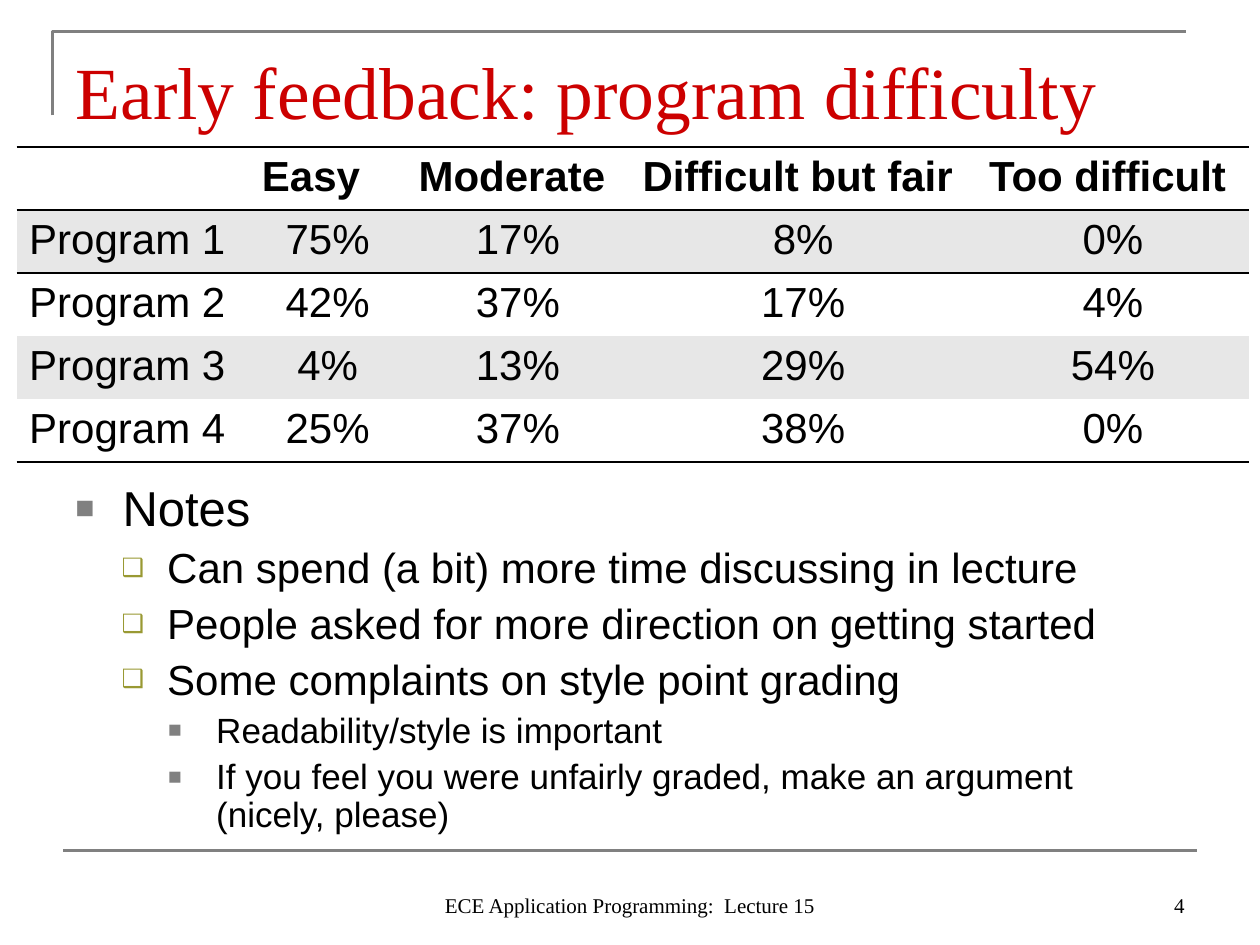
"""Build the slide on early feedback about program difficulty."""
from dataclasses import dataclass

import lxml.etree
import pptx
import pptx.dml.color
import pptx.enum.shapes
import pptx.enum.text
import pptx.oxml
import pptx.oxml.ns
import pptx.util

Pt = pptx.util.Pt
ALIGN = pptx.enum.text.PP_ALIGN
ANCHOR = pptx.enum.text.MSO_ANCHOR
qn = pptx.oxml.ns.qn

BLACK, GREY, OLIVE, RED = "000000", "808080", "999933", "CC0000"
BAND, WHITE = "E7E7E7", "FFFFFF"
SANS, SERIF = "Arial", "Times New Roman"
NO_STYLE = "{2D5ABB26-0587-4C30-8999-92F81FD0307C}"


@dataclass(frozen=True)
class Level:
    size: float
    margin: float
    hanging: float
    before: float
    bullet: str
    bullet_color: str
    bullet_percent: int


@dataclass(frozen=True)
class Note:
    level: int
    text: str


@dataclass(frozen=True)
class FooterItem:
    text: str
    left: float
    width: float
    align: ALIGN


LEVELS = (
    Level(28, 27, 27, 7, "■", GREY, 65),
    Level(24, 52.5, 26, 6, "❑", OLIVE, 60),
    Level(20, 80.5, 27.5, 5, "■", GREY, 65),
)
NOTES = (
    Note(0, "Notes"),
    Note(1, "Can spend (a bit) more time discussing in lecture"),
    Note(1, "People asked for more direction on getting started"),
    Note(1, "Some complaints on style point grading"),
    Note(2, "Readability/style is important"),
    Note(2, "If you feel you were unfairly graded, make an argument (nicely, please)"),
)
FOOTER = (
    FooterItem("ECE Application Programming:  Lecture 15", 246, 228, ALIGN.CENTER),
    FooterItem("4", 516, 168, ALIGN.RIGHT),
)
RATINGS = (
    ("", "Easy", "Moderate", "Difficult but fair", "Too difficult"),
    ("Program 1", "75%", "17%", "8%", "0%"),
    ("Program 2", "42%", "37%", "17%", "4%"),
    ("Program 3", "4%", "13%", "29%", "54%"),
    ("Program 4", "25%", "37%", "38%", "0%"),
)
COLUMN_WIDTHS = (133, 89.5, 128, 198, 156)
ROW_HEIGHT = 36


def rgb(color: str) -> pptx.dml.color.RGBColor:
    """Turn a hex string into a colour."""
    return pptx.dml.color.RGBColor.from_string(color)


def apply(target, formats: dict) -> None:
    """Set every attribute in the dict on the target."""
    for attribute, value in formats.items():
        setattr(target, attribute, value)


def write(paragraph, text: str, face: str, size: float, color: str, bold=False) -> None:
    """Put formatted text into a paragraph."""
    paragraph.text = text
    apply(paragraph.font, {"name": face, "size": Pt(size), "bold": bold})
    paragraph.font.color.rgb = rgb(color)


def style_rule(line) -> None:
    """Give a decorative rule its colour and width."""
    line.color.rgb = rgb(GREY)
    line.width = Pt(1.5)


def add_rules(slide) -> None:
    """Draw the corner bracket above the title and the rule above the footer."""
    builder = slide.shapes.build_freeform(30, 66, scale=Pt(1))
    builder.add_line_segments([(30, 18), (678, 18)], close=False)
    bracket = builder.convert_to_shape()
    bracket.shadow.inherit = False
    bracket.fill.background()
    style_rule(bracket.line)

    footer_rule = slide.shapes.add_connector(
        pptx.enum.shapes.MSO_CONNECTOR.STRAIGHT, Pt(36), Pt(486), Pt(684), Pt(486))
    style_rule(footer_rule.line)
    lxml.etree.SubElement(footer_rule._element.spPr, qn("a:effectLst"))


def add_title(slide, text: str) -> None:
    """Place and format the title placeholder."""
    title = slide.shapes.title
    apply(title, {"left": Pt(36), "top": Pt(21.6), "width": Pt(648), "height": Pt(56)})
    apply(title.text_frame, {
        "vertical_anchor": ANCHOR.BOTTOM, "word_wrap": True, "margin_bottom": Pt(1),
        "auto_size": pptx.enum.text.MSO_AUTO_SIZE.NONE})
    heading = title.text_frame.paragraphs[0]
    write(heading, text, SERIF, 42, RED)
    heading.alignment = ALIGN.LEFT


def add_border(cell, side: str) -> None:
    """Draw a thin black line on one side of a cell."""
    cell._tc.get_or_add_tcPr().append(pptx.oxml.parse_xml(
        f'<a:{side} xmlns:a="http://schemas.openxmlformats.org/drawingml/2006/main" '
        f'w="{Pt(0.96)}"><a:solidFill><a:srgbClr val="{BLACK}"/></a:solidFill></a:{side}>'))


def add_ratings(slide) -> None:
    """Draw the table of difficulty ratings."""
    frame = slide.shapes.add_table(
        len(RATINGS), len(COLUMN_WIDTHS), Pt(9.5), Pt(84),
        Pt(sum(COLUMN_WIDTHS)), Pt(ROW_HEIGHT * len(RATINGS)))
    ratings = frame.table
    ratings._tbl.tblPr.find(qn("a:tableStyleId")).text = NO_STYLE
    apply(ratings, {"first_row": False, "horz_banding": False})
    for column, width in zip(ratings.columns, COLUMN_WIDTHS):
        column.width = Pt(width)
    for r, values in enumerate(RATINGS):
        ratings.rows[r].height = Pt(ROW_HEIGHT)
        for c, value in enumerate(values):
            cell = ratings.cell(r, c)
            if r <= 1:
                add_border(cell, "lnT")
            if r in (0, len(RATINGS) - 1):
                add_border(cell, "lnB")
            cell.fill.solid()
            cell.fill.fore_color.rgb = rgb(BAND if r % 2 else WHITE)
            entry = cell.text_frame.paragraphs[0]
            write(entry, value, SANS, 24, BLACK, bold=r == 0)
            entry.alignment = ALIGN.CENTER if r and c else ALIGN.LEFT


def add_bullet(paragraph, level: Level) -> None:
    """Give a paragraph its hanging bullet."""
    properties = paragraph._p.get_or_add_pPr()
    properties.set("marL", str(Pt(level.margin)))
    properties.set("indent", str(Pt(-level.hanging)))
    color = lxml.etree.SubElement(properties, qn("a:buClr"))
    lxml.etree.SubElement(color, qn("a:srgbClr"), val=level.bullet_color)
    lxml.etree.SubElement(properties, qn("a:buSzPct"), val=str(level.bullet_percent * 1000))
    lxml.etree.SubElement(properties, qn("a:buFont"), typeface=SANS)
    lxml.etree.SubElement(properties, qn("a:buChar"), char=level.bullet)


def add_notes(slide) -> None:
    """Write the bulleted notes under the table."""
    body = slide.shapes.add_textbox(Pt(36), Pt(273), Pt(648), Pt(219)).text_frame
    body.word_wrap = True
    for index, note in enumerate(NOTES):
        level = LEVELS[note.level]
        paragraph = body.add_paragraph() if index else body.paragraphs[0]
        add_bullet(paragraph, level)
        write(paragraph, note.text, SANS, level.size, BLACK)
        apply(paragraph, {"level": note.level, "line_spacing": 0.9,
                          "space_before": Pt(level.before if index else 0)})


def add_footer_item(slide, item: FooterItem) -> None:
    """Write one text at the foot of the slide."""
    frame = slide.shapes.add_textbox(
        Pt(item.left), Pt(492), Pt(item.width), Pt(36)).text_frame
    apply(frame, {"word_wrap": True, "vertical_anchor": ANCHOR.BOTTOM})
    write(frame.paragraphs[0], item.text, SERIF, 12, BLACK)
    frame.paragraphs[0].alignment = item.align


def main() -> None:
    """Assemble and save the slide."""
    deck = pptx.Presentation()
    apply(deck, {"slide_width": Pt(720), "slide_height": Pt(540)})
    slide = deck.slides.add_slide(deck.slide_layouts[5])
    add_rules(slide)
    add_title(slide, "Early feedback: program difficulty")
    add_ratings(slide)
    add_notes(slide)
    for item in FOOTER:
        add_footer_item(slide, item)
    deck.save("out.pptx")


if __name__ == "__main__":
    main()
